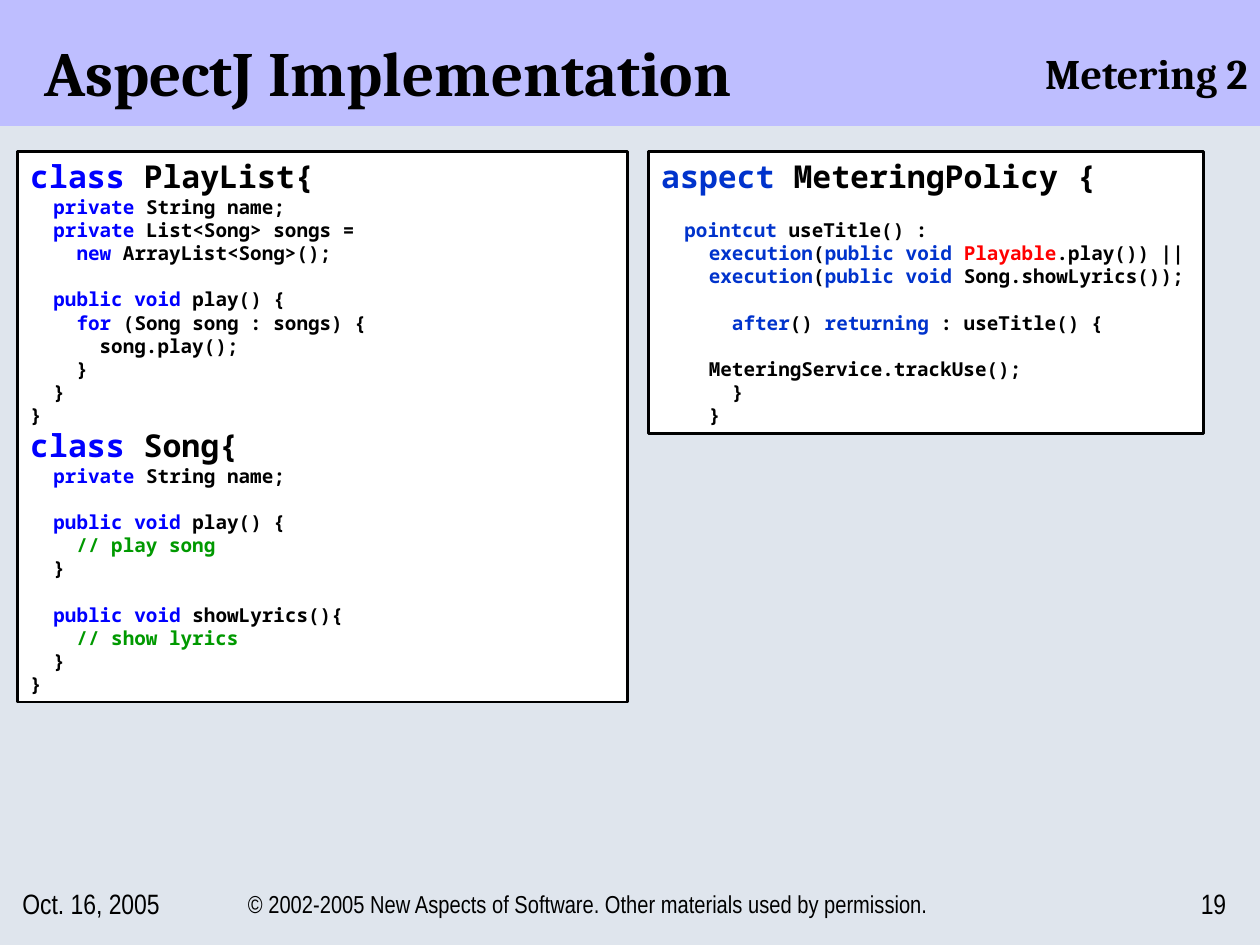
from pptx import Presentation
from pptx.dml.color import RGBColor
from pptx.enum.shapes import MSO_SHAPE as Shape
from pptx.enum.text import MSO_ANCHOR as Anchor, PP_ALIGN as Align
from pptx.util import Cm, Pt

BLACK = RGBColor(0x00, 0x00, 0x00)
WHITE = RGBColor(0xFF, 0xFF, 0xFF)
PAGE = RGBColor(0xDF, 0xE5, 0xED)
LAVENDER = RGBColor(0xBE, 0xBE, 0xFF)
JAVA_BLUE = RGBColor(0x00, 0x00, 0xFF)
ASPECT_BLUE = RGBColor(0x00, 0x33, 0xCC)
GREEN = RGBColor(0x00, 0x99, 0x00)
RED = RGBColor(0xFF, 0x00, 0x00)

# Between tildes: keywords. Between carets: highlighted names.
CLASSES = """\
~class~ PlayList{
  ~private~ String name;
  ~private~ List<Song> songs =
    ~new~ ArrayList<Song>();

  ~public void~ play() {
    ~for~ (Song song : songs) {
      song.play();
    }
  }
}
~class~ Song{
  ~private~ String name;

  ~public void~ play() {
    // play song
  }

  ~public void~ showLyrics(){
    // show lyrics
  }
}"""

ASPECT = """\
~aspect~ MeteringPolicy {

  ~pointcut~ useTitle() :
~execution~(~public void~ ^Playable^.play()) ||
~execution~(~public void~ Song.showLyrics());

  ~after~() ~returning~ : useTitle() {

MeteringService.trackUse();
  }
}"""


class Deck:
    heading_font = "Cambria"
    code_font = "Noto Sans Mono"
    footer_font = "Arial Narrow"
    heading_size, code_size, line_pitch = Pt(18), Pt(11), Pt(13.2)

    def __init__(self, prs):
        self.s = prs.slides.add_slide(prs.slide_layouts[6])
        fill = self.s.background.fill
        fill.solid()
        fill.fore_color.rgb = PAGE

    def rect(self, x, y, w, h, color, outlined=False):
        sp = self.s.shapes.add_shape(Shape.RECTANGLE, Cm(x), Cm(y), Cm(w), Cm(h))
        sp.shadow.inherit = False
        sp.fill.solid()
        sp.fill.fore_color.rgb = color
        if outlined:
            sp.line.color.rgb = BLACK
            sp.line.width = Pt(1.5)
        else:
            sp.line.fill.background()
        return sp

    def text(self, x, y, w, h, text, size, font, align=Align.LEFT,
             anchor=Anchor.MIDDLE, bold=False):
        tf = self.s.shapes.add_textbox(Cm(x), Cm(y), Cm(w), Cm(h)).text_frame
        tf.word_wrap = True
        tf.vertical_anchor = anchor
        p = tf.paragraphs[0]
        p.text = text
        p.alignment = align
        p.font.name, p.font.size, p.font.bold = font, Pt(size), bold
        p.font.color.rgb = BLACK

    def code(self, x, y, w, h, source, keyword, indent_from=None):
        """Box of marked-up code; lines from indent_from on get a left margin."""
        tf = self.rect(x, y, w, h, WHITE, outlined=True).text_frame
        tf.word_wrap = True
        tf.vertical_anchor = Anchor.TOP
        gap = Pt(0)
        for number, line in enumerate(source.split("\n")):
            if not line:
                gap = self.line_pitch
                continue
            p = tf.add_paragraph() if number else tf.paragraphs[0]
            p.alignment = Align.LEFT
            p.space_before, gap = gap, Pt(0)
            if indent_from is not None and number >= indent_from:
                p._p.get_or_add_pPr().set("marL", str(Cm(0.96)))
            is_heading = line.startswith(("~class", "~aspect"))
            p.font.name, p.font.bold = self.code_font, True
            p.font.size = self.heading_size if is_heading else self.code_size
            self.color_runs(p, line, keyword)

    def color_runs(self, p, line, keyword):
        plain = GREEN if line.lstrip().startswith("//") else BLACK
        for i, part in enumerate(line.split("~")):
            for j, piece in enumerate(part.split("^")):
                if piece:
                    r = p.add_run()
                    r.text = piece
                    r.font.color.rgb = keyword if i % 2 else RED if j % 2 else plain


def main():
    prs = Presentation()
    prs.slide_width, prs.slide_height = Cm(25.4), Cm(19.05)
    deck = Deck(prs)

    deck.rect(0, 0, 25.4, 2.54, LAVENDER)
    deck.text(0.64, 0.43, 24.33, 1.9, "AspectJ Implementation", 36,
              deck.heading_font, anchor=Anchor.BOTTOM, bold=True)
    deck.text(11.18, 0.84, 14.22, 1.27, "Metering 2", 24,
              deck.heading_font, Align.RIGHT, Anchor.TOP, bold=True)

    deck.code(0.36, 3.05, 12.29, 11.1, CLASSES, JAVA_BLUE)
    deck.code(13.08, 3.05, 11.18, 5.69, ASPECT, ASPECT_BLUE, indent_from=3)

    footers = [
        (0.2, 4.25, "Oct. 16, 2005", 16, Align.LEFT),
        (4.45, 14.81, "© 2002-2005 New Aspects of Software. "
                      "Other materials used by permission.", 14, Align.CENTER),
        (23.5, 1.47, "19", 16, Align.RIGHT),
    ]
    for x, w, text, size, align in footers:
        deck.text(x, 17.58, w, 1.27, text, size, deck.footer_font, align)

    prs.save("out.pptx")


if __name__ == "__main__":
    main()
